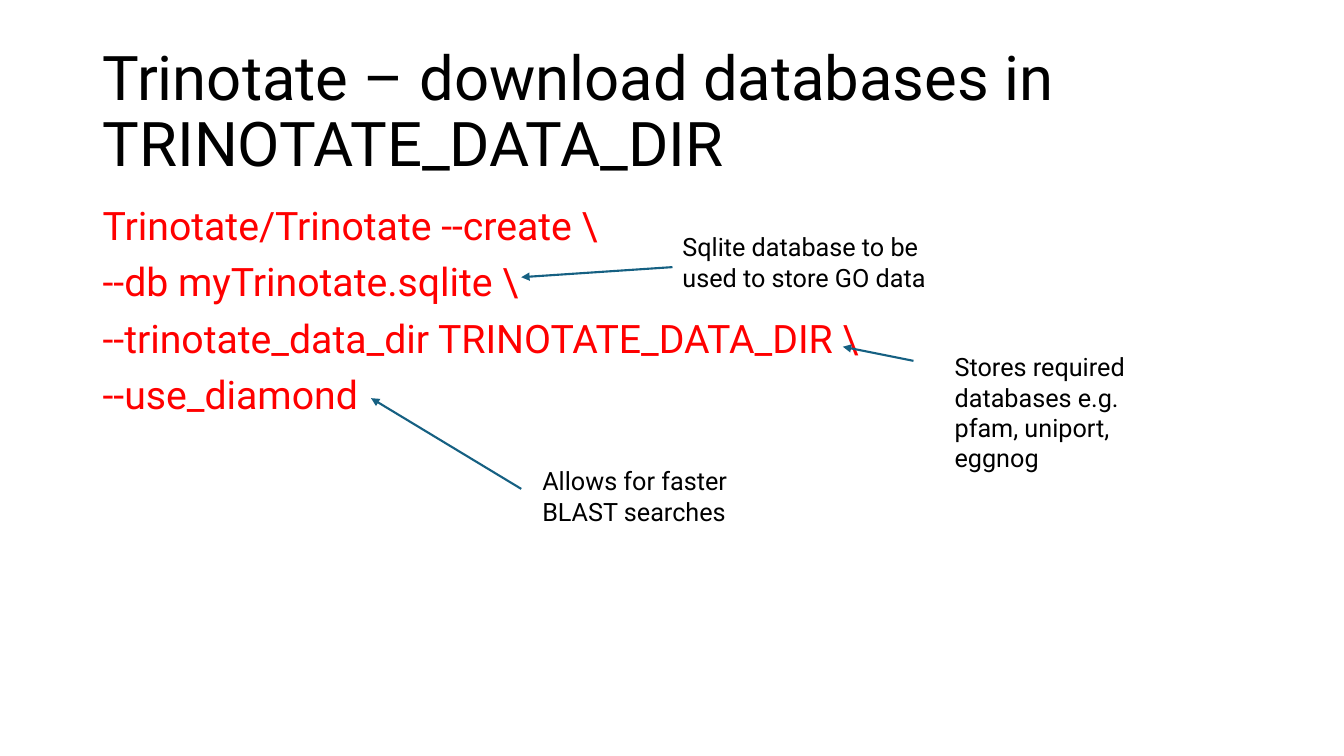
from dataclasses import dataclass

from lxml import etree
from pptx import Presentation
from pptx.dml.color import RGBColor
from pptx.enum import shapes, text
from pptx.oxml import ns
from pptx.util import Inches, Pt

# Content
TITLE = "Trinotate – download databases in TRINOTATE_DATA_DIR"
COMMAND = [
    "Trinotate/Trinotate --create \\",
    "--db myTrinotate.sqlite \\",
    "--trinotate_data_dir TRINOTATE_DATA_DIR \\",
    "--use_diamond",
]
# Each note: text, box (left, top, width, height), arrow start, arrow end
NOTES = [
    ("Sqlite database to be used to store GO data",
     (6.67, 2.25, 2.7, 0.71), (6.67, 2.65), (5.17, 2.75)),
    ("Stores required databases e.g. pfam, uniport, eggnog",
     (9.37, 3.44, 2.14, 1.31), (9.06, 3.58), (8.36, 3.44)),
    ("Allows for faster BLAST searches",
     (5.28, 4.57, 2.25, 0.71), (5.17, 4.85), (3.68, 3.95)),
]
TITLE_BOX = (0.92, 0.4, 11.5, 1.45)
COMMAND_BOX = (0.92, 2, 11.5, 4.76)


@dataclass(frozen=True)
class Theme:
    font: str = "Roboto"
    ink: str = "000000"
    code: str = "FF0000"
    arrow: str = "156082"
    title_size: int = 44
    code_size: int = 28
    note_size: int = 18
    arrow_width: float = 1.5


THEME = Theme()


def add_text(slide, box, lines, size, color, spacing=1.0, before=0,
             anchor=text.MSO_ANCHOR.TOP):
    tf = slide.shapes.add_textbox(*map(Inches, box)).text_frame
    tf.word_wrap = True
    tf.vertical_anchor = anchor
    tf.text = "\n".join(lines)
    for p in tf.paragraphs:
        p.line_spacing = spacing
        p.space_before = Pt(before)
        p.font.name = THEME.font
        p.font.size = Pt(size)
        p.font.color.rgb = RGBColor.from_string(color)


def add_arrow(slide, start, end):
    sp = slide.shapes.add_connector(
        shapes.MSO_CONNECTOR.STRAIGHT, *map(Inches, start + end))
    sp.line.color.rgb = RGBColor.from_string(THEME.arrow)
    sp.line.width = Pt(THEME.arrow_width)
    props = sp._element.spPr
    etree.SubElement(props.find(ns.qn("a:ln")), ns.qn("a:tailEnd"),
                     type="triangle")
    etree.SubElement(props, ns.qn("a:effectLst"))


def main():
    prs = Presentation()
    prs.slide_width, prs.slide_height = Inches(13.33), Inches(7.5)
    slide = prs.slides.add_slide(prs.slide_layouts[6])

    # Title and command
    add_text(slide, TITLE_BOX, [TITLE], THEME.title_size, THEME.ink,
             spacing=0.9, anchor=text.MSO_ANCHOR.MIDDLE)
    add_text(slide, COMMAND_BOX, COMMAND, THEME.code_size, THEME.code,
             spacing=0.9, before=10)

    # Notes with arrows to the options they explain
    for note, box, start, end in NOTES:
        add_arrow(slide, start, end)
        add_text(slide, box, [note], THEME.note_size, THEME.ink)

    prs.save("out.pptx")


if __name__ == "__main__":
    main()
